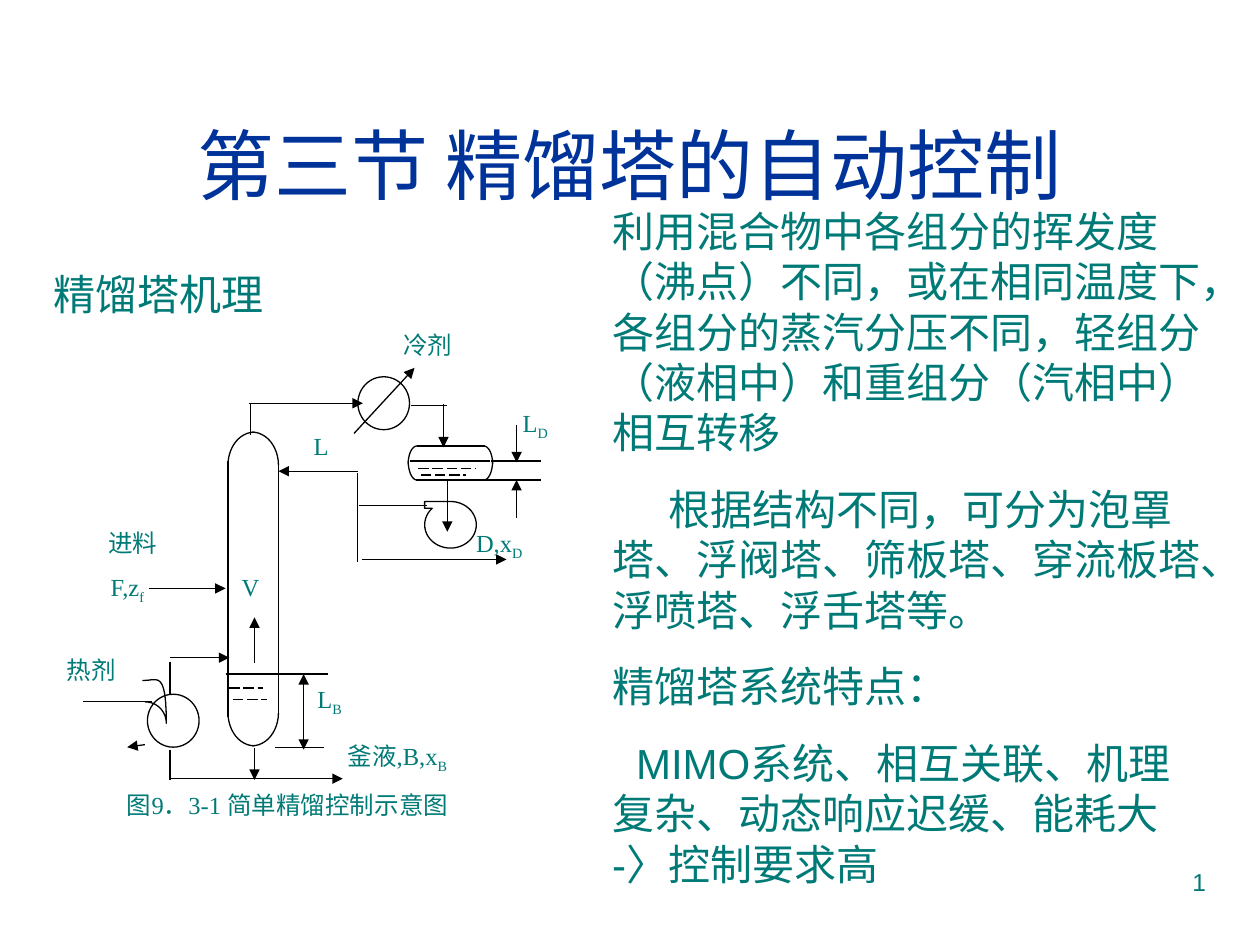
import pptx
import pptx.util
from lxml import etree
from pptx.dml.color import RGBColor
from pptx.enum.dml import MSO_LINE
from pptx.enum.shapes import MSO_CONNECTOR, MSO_SHAPE
from pptx.enum.text import MSO_ANCHOR, PP_ALIGN
from pptx.oxml.ns import qn

PX = 9144  # EMU per px, 100 px to the inch
COLOURS = {"title": "003399", "text": "007A77", "line": "000000", "fill": "FFFFFF"}


class Diagram:
    """Holds the slide and the style of its text and line work."""

    body_font = "Arial"
    label_font = "Times New Roman"
    line_width = pptx.util.Pt(0.75)

    def __init__(self, slide):
        self.slide = slide

    def colour(self, name):
        return RGBColor.from_string(COLOURS[name])

    def outline(self, line):
        line.width = self.line_width
        line.color.rgb = self.colour("line")

    def text(self, box, paragraphs, size=24, font=None, colour="text",
             align=PP_ALIGN.LEFT, anchor=MSO_ANCHOR.TOP, gap=0):
        """Each paragraph is (first-line indent, text, optional subscript)."""
        shape = self.slide.shapes.add_textbox(*(value * PX for value in box))
        frame = shape.text_frame
        frame.word_wrap = True
        frame.vertical_anchor = anchor
        for index, (indent, *parts) in enumerate(paragraphs):
            paragraph = frame.add_paragraph() if index else frame.paragraphs[0]
            paragraph.alignment = align
            if index:
                paragraph.space_before = pptx.util.Pt(gap)
            if indent:
                paragraph._p.get_or_add_pPr().set("indent", str(indent * PX))
            for position, part in enumerate(parts):
                run = paragraph.add_run()
                run.text = part
                run.font.size = pptx.util.Pt(size)
                run.font.name = font or self.body_font
                run.font.color.rgb = self.colour(colour)
                if position:
                    run._r.get_or_add_rPr().set("baseline", "-25000")

    def label(self, box, *parts):
        self.text(box, [(0, *parts)], size=14, font=self.label_font)

    def line(self, x1, y1, x2, y2, arrows="", dashed=False):
        """arrows lists the ends with a triangle: head at start, tail at end."""
        connector = self.slide.shapes.add_connector(
            MSO_CONNECTOR.STRAIGHT, x1 * PX, y1 * PX, x2 * PX, y2 * PX)
        self.outline(connector.line)
        if dashed:
            connector.line.dash_style = MSO_LINE.LONG_DASH
        line_xml = connector.line._get_or_add_ln()
        for end in arrows.split():
            etree.SubElement(line_xml, qn(f"a:{end}End"), type="triangle")
        etree.SubElement(connector._element.spPr, qn("a:effectLst"))

    def shape(self, kind, box, rotation=0):
        shape = self.slide.shapes.add_shape(kind, *(value * PX for value in box))
        shape.rotation = rotation
        shape.shadow.inherit = False
        shape.fill.solid()
        shape.fill.fore_color.rgb = self.colour("fill")
        self.outline(shape.line)

    def curve(self, start, *segments, steps=12):
        """Open outline through cubic segments of (control, control, end)."""
        points = []
        current = start
        for segment in segments:
            knots = (current, *segment)
            for step in range(1, steps + 1):
                t = step / steps
                weights = ((1 - t) ** 3, 3 * t * (1 - t) ** 2, 3 * t * t * (1 - t), t ** 3)
                points.append(tuple(
                    PX * sum(weight * knot[axis] for weight, knot in zip(weights, knots))
                    for axis in (0, 1)))
            current = segment[-1]
        builder = self.slide.shapes.build_freeform(start[0] * PX, start[1] * PX)
        builder.add_line_segments(points, close=False)
        shape = builder.convert_to_shape()
        shape.shadow.inherit = False
        shape.fill.background()
        self.outline(shape.line)

    def corner(self, x, y, dx, dy):
        """Quarter ellipse about (x, y), from its side to its top or bottom."""
        bend = 0.55
        self.curve((x + dx, y), ((x + dx, y + bend * dy), (x + bend * dx, y + dy), (x, y + dy)))


def main():
    presentation = pptx.Presentation()
    presentation.slide_width = 1000 * PX
    presentation.slide_height = 750 * PX
    diagram = Diagram(presentation.slides.add_slide(presentation.slide_layouts[6]))

    # Page number, title and left heading
    diagram.text((717, 683, 250, 52), [(0, "1")], size=14, align=PP_ALIGN.RIGHT)
    diagram.text((33, 67, 934, 125), [(0, "第三节 精馏塔的自动控制")], size=44,
                 colour="title", align=PP_ALIGN.CENTER, anchor=MSO_ANCHOR.MIDDLE)
    diagram.text((33, 208, 400, 50), [(0, "精馏塔机理")])

    # Rounded ends of the reflux drum and the column
    for x, dx in ((331, -7), (384, 7)):
        diagram.corner(x, 366, dx, 15)
        diagram.corner(x, 368, dx, -14)
    for x, dx in ((202, -21), (200, 21)):
        diagram.corner(x, 369, dx, -26)
        diagram.corner(x, 566, dx, 26)

    # Condenser, reboiler with its coil, and reflux pump
    for x, y in ((284, 299), (117, 551)):
        diagram.shape(MSO_SHAPE.OVAL, (x, y, 41, 42))
    diagram.curve((115, 557),
                  ((125, 557), (132, 565), (132, 574)),
                  ((132, 532), (125, 540), (115, 540)),
                  ((115, 540), (114, 540), (113, 540)))
    diagram.shape(MSO_SHAPE.FLOWCHART_SEQUENTIAL_ACCESS_STORAGE, (337, 398, 41, 37), 180)

    # Vessel walls, pipes and level marks
    for ends in (
        (330, 381, 385, 381), (331, 354, 385, 354), (325, 366, 389, 366),  # drum
        (181, 366, 181, 569), (221, 369, 221, 570),                        # column
        (135, 618, 252, 618), (135, 595, 135, 619),                        # bottoms
        (135, 525, 135, 552), (66, 557, 121, 557),                         # reboiler
        (199, 321, 199, 345), (326, 322, 355, 322),                        # overhead
        (285, 401, 339, 401), (284, 375, 284, 446),                        # reflux
        (390, 366, 429, 366), (380, 381, 429, 381),                        # drum level
        (179, 535, 222, 535), (221, 535, 260, 535), (218, 593, 257, 593),  # column level
    ):
        diagram.line(*ends)

    # Flow directions
    for ends in (
        (135, 522, 182, 522), (202, 594, 202, 619), (248, 618, 272, 618),
        (118, 467, 179, 467), (115, 591, 101, 593), (198, 320, 288, 320),
        (281, 344, 329, 292), (352, 321, 352, 355), (355, 381, 355, 422),
        (284, 374, 221, 374), (287, 444, 402, 444), (202, 526, 202, 490),
        (410, 337, 410, 367), (410, 411, 410, 381),
    ):
        diagram.line(*ends, arrows="tail")
    diagram.line(241, 595, 241, 535, arrows="head tail")

    # Liquid in the drum and the column
    for ends in ((332, 372, 378, 372), (334, 377, 370, 377),
                 (182, 546, 209, 546), (185, 555, 212, 555)):
        diagram.line(*ends, dashed=True)

    # Stream labels and caption
    diagram.label((310, 257, 71, 42), "冷剂")
    diagram.label((405, 319, 57, 49), "L", "D")
    diagram.label((239, 337, 43, 42), "L")
    diagram.label((76, 414, 75, 52), "进料")
    diagram.label((368, 414, 80, 52), "D,x", "D")
    diagram.label((78, 449, 60, 57), "F,z", "f")
    diagram.label((182, 449, 43, 57), "V")
    diagram.label((43, 515, 75, 42), "热剂")
    diagram.label((91, 622, 344, 52), "图9．3-1 简单精馏控制示意图")
    diagram.label((266, 583, 132, 53), "釜液,B,x", "B")
    diagram.label((242, 538, 56, 51), "L", "B")

    # Explanation on the right
    diagram.text((476, 158, 491, 553), [
        (0, "利用混合物中各组分的挥发度（沸点）不同，或在相同温度下，各组分的蒸汽分压不同，"
            "轻组分（液相中）和重组分（汽相中）相互转移"),
        (45, "根据结构不同，可分为泡罩塔、浮阀塔、筛板塔、穿流板塔、浮喷塔、浮舌塔等。"),
        (0, "精馏塔系统特点："),
        (19, "MIMO系统、相互关联、机理复杂、动态响应迟缓、能耗大 -〉控制要求高"),
    ], gap=15)

    presentation.save("out.pptx")


if __name__ == "__main__":
    main()
